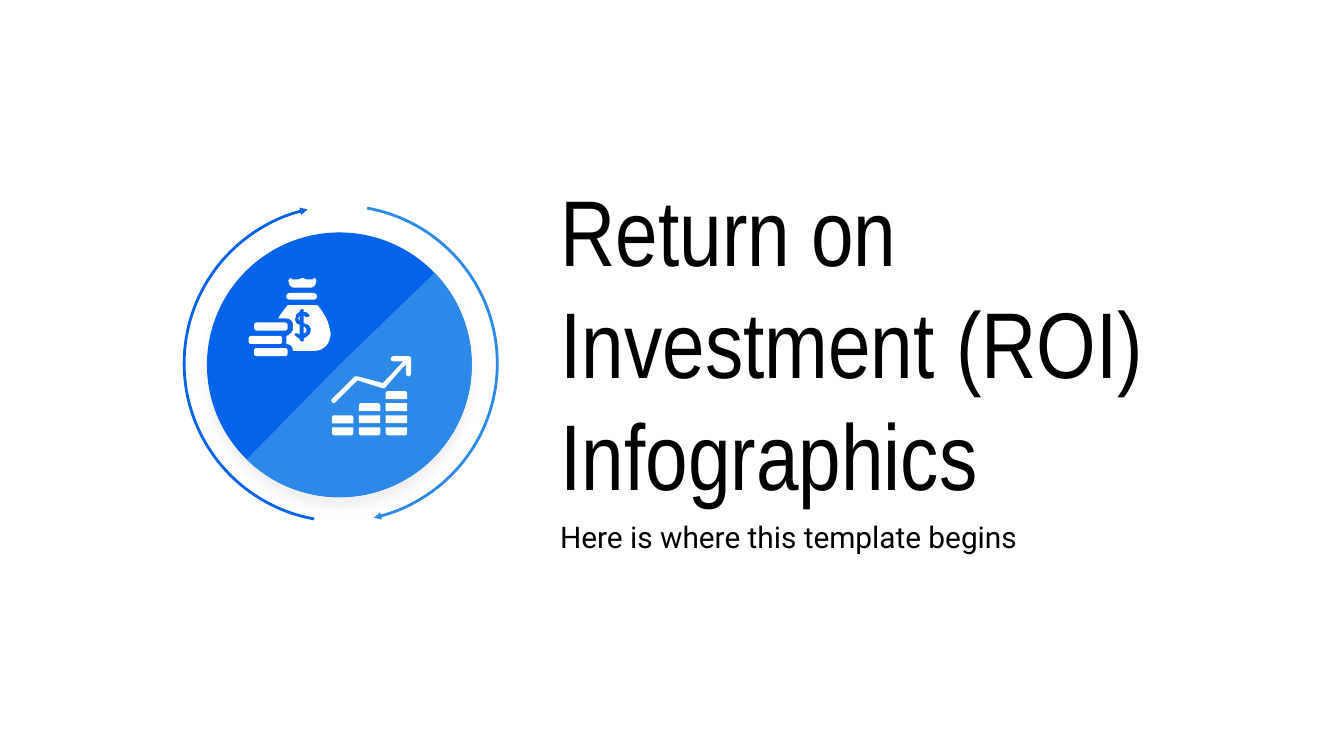
import pptx
import pptx.util
import lxml.etree
from dataclasses import dataclass
from pptx.dml.color import RGBColor
from pptx.enum.shapes import MSO_SHAPE
from pptx.enum.text import MSO_ANCHOR, MSO_AUTO_SIZE, PP_ALIGN
from pptx.oxml.ns import qn
from pptx.util import Inches


@dataclass(frozen=True)
class Theme:
    dark_blue: str = "0363EB"
    light_blue: str = "2C89E7"
    white: str = "FFFFFF"
    black: str = "000000"
    shadow: str = "666666"
    title_font: str = "Arial Narrow"
    body_font: str = "Roboto"
    title_size: int = 50
    subtitle_size: int = 16
    arc_width: float = 1.5


THEME = Theme()

# Icon outlines in hundredths of an inch: pairs are corners, sixes are Bezier curves
BAG = [(29, 20), (27, 23, 24, 26, 22, 30), (28, 30), (31, 30, 33, 32, 33, 35), (33, 37),
       (33, 40, 31, 42, 28, 43), (28, 49), (31, 49, 33, 51, 33, 54), (50, 54),
       (53, 54, 56, 52, 58, 50), (60, 47, 61, 44, 61, 41), (60, 36, 59, 31, 56, 27),
       (55, 25, 53, 22, 51, 20)]
DOLLAR = [(40, 23), (41, 23, 41, 23, 41, 24), (41, 25), (43, 25, 44, 26, 45, 27),
          (46, 28, 45, 29, 43, 29), (42, 29), (42, 28, 42, 28, 41, 28), (41, 33), (42, 34),
          (45, 34, 47, 37, 46, 40), (46, 41, 45, 42, 44, 43), (43, 44, 42, 44, 41, 45),
          (41, 46), (42, 47, 41, 47, 40, 47), (39, 47, 38, 47, 38, 46), (38, 45),
          (37, 45, 36, 44, 35, 43), (33, 42, 34, 41, 36, 41), (37, 41, 38, 42, 38, 42),
          (38, 35), (38, 35, 37, 34, 36, 34), (35, 33, 34, 31, 35, 29),
          (35, 27, 36, 26, 38, 25), (38, 24), (39, 23, 39, 23, 40, 23)]
DOLLAR_UPPER = [(38, 28), (38, 29, 37, 29, 37, 30), (37, 30, 37, 31, 38, 31), (38, 32)]
DOLLAR_LOWER = [(41, 36), (41, 41), (42, 41, 43, 40, 43, 39), (43, 38, 43, 37, 41, 36)]
RUFFLE = [(40, 0), (39, 0), (38, 1, 36, 1, 35, 1), (32, 1), (32, 1, 32, 0, 32, 0),
          (30, 0, 29, 2, 30, 3), (30, 5, 31, 6, 33, 7), (47, 7), (49, 6, 50, 5, 50, 3),
          (51, 2, 50, 0, 49, 0), (48, 0, 48, 1, 48, 1), (45, 1), (44, 1, 42, 1, 41, 0)]
TREND = [(58, 0), (47, 0), (44, 0, 44, 4, 47, 4), (54, 4), (39, 20), (20, 15),
         (19, 15, 18, 15, 18, 15), (1, 32), (0, 33, 1, 35, 3, 35), (3, 35, 3, 35, 4, 34),
         (20, 18), (39, 24), (40, 24, 40, 24, 41, 23), (56, 6), (56, 13),
         (56, 14, 57, 15, 58, 15), (59, 15, 60, 14, 60, 13), (60, 2), (60, 1, 59, 0, 58, 0)]


def write_text(shape, text, *, font, size, color):
    frame = shape.text_frame
    frame.word_wrap = True
    frame.auto_size = MSO_AUTO_SIZE.NONE
    frame.vertical_anchor = MSO_ANCHOR.TOP
    frame.margin_left = frame.margin_right = Inches(0.1)
    frame.margin_top = frame.margin_bottom = Inches(0.1)
    paragraph = frame.paragraphs[0]
    paragraph.alignment = PP_ALIGN.LEFT
    run = paragraph.add_run()
    run.text = text
    run.font.name = font
    run.font.size = pptx.util.Pt(size)
    run.font.color.rgb = RGBColor.from_string(color)


def paint(shape, fill):
    shape.shadow.inherit = False
    shape.fill.solid()
    shape.fill.fore_color.rgb = RGBColor.from_string(fill)
    shape.line.fill.background()


def add_preset(shapes, kind, box, fill, adjustments=(), rotation=0):
    shape = shapes.add_shape(kind, *(Inches(length) for length in box))
    for index, value in enumerate(adjustments):
        shape.adjustments[index] = value
    shape.rotation = rotation
    paint(shape, fill)
    return shape


def flatten(outline, steps=6):
    """Turn corners and Bezier curves into points in EMU."""
    points = []
    for part in outline:
        if len(part) == 2:
            points.append(part)
            continue
        x0, y0 = points[-1]
        x1, y1, x2, y2, x3, y3 = part
        for step in range(1, steps + 1):
            t = step / steps
            a, b, c, d = (1 - t) ** 3, 3 * t * (1 - t) ** 2, 3 * t * t * (1 - t), t ** 3
            points.append((a * x0 + b * x1 + c * x2 + d * x3,
                           a * y0 + b * y1 + c * y2 + d * y3))
    return [(Inches(x / 100), Inches(y / 100)) for x, y in points]


def add_outline(shapes, left, top, fill, *outlines):
    first, *others = [flatten(outline) for outline in outlines]
    builder = shapes.build_freeform(*first[0])
    builder.add_line_segments(first[1:])
    for points in others:
        builder.move_to(*points[0])
        builder.add_line_segments(points[1:])
    paint(builder.convert_to_shape(Inches(left), Inches(top)), fill)


def add_arc_arrow(shapes, box, color, rotation=0):
    arc = add_preset(shapes, MSO_SHAPE.ARC, box, color, (60.08, 154.43), rotation)
    arc.fill.background()
    arc.line.fill.solid()
    arc.line.fill.fore_color.rgb = RGBColor.from_string(color)
    arc.line.width = pptx.util.Pt(THEME.arc_width)
    outline = arc._element.spPr.find(qn("a:ln"))
    lxml.etree.SubElement(outline, qn("a:tailEnd"), type="triangle", w="sm", len="sm")


def add_soft_shadow(shape):
    effects = shape._element.spPr.find(qn("a:effectLst"))
    shadow = lxml.etree.SubElement(
        effects, qn("a:outerShdw"), blurRad=str(pptx.util.Pt(5.6)),
        dist=str(pptx.util.Pt(4.5)), dir="5400000", algn="bl", rotWithShape="0")
    color = lxml.etree.SubElement(shadow, qn("a:srgbClr"), val=THEME.shadow)
    lxml.etree.SubElement(color, qn("a:alpha"), val="10000")


def add_money_icon(shapes, left, top):
    # Tie of the bag, then the three coins
    bars = [(0.28, 0.11, 0.23, 0.05, 0.5)]
    bars += [(x, y, 0.25, 0.06, 0.3) for x, y in ((0.04, 0.52), (0, 0.43), (0.04, 0.33))]
    for x, y, width, height, radius in bars:
        add_preset(shapes, MSO_SHAPE.ROUNDED_RECTANGLE,
                   (left + x, top + y, width, height), THEME.white, (radius,))
    # Bag with the dollar sign cut out
    for outlines in ((BAG, DOLLAR), (DOLLAR_UPPER,), (DOLLAR_LOWER,), (RUFFLE,)):
        add_outline(shapes, left, top, THEME.white, *outlines)


def add_growth_icon(shapes, left, top):
    # Stacks of two, three and four blocks, rounded at both ends
    for column, count in enumerate((2, 3, 4)):
        for row in range(count):
            is_end = row in (0, count - 1)
            kind = MSO_SHAPE.ROUND_2_SAME_RECTANGLE if is_end else MSO_SHAPE.RECTANGLE
            box = (left + 0.01 + 0.2 * column, top + 0.53 - 0.09 * row, 0.16, 0.06)
            add_preset(shapes, kind, box, THEME.white, (0.3,) if is_end else (),
                       rotation=180 if row == 0 else 0)
    add_outline(shapes, left, top, THEME.white, TREND)


def add_emblem(slide, left, top):
    shapes = slide.shapes.add_group_shape().shapes
    # Circling arrows
    add_arc_arrow(shapes, (left + 0.02, top, 2.35, 2.35), THEME.dark_blue)
    add_arc_arrow(shapes, (left, top, 2.35, 2.35), THEME.light_blue, rotation=180)
    # Two-tone disc
    disc = (left + 0.19, top + 0.2, 1.97, 1.97)
    add_soft_shadow(add_preset(shapes, MSO_SHAPE.OVAL, disc, THEME.dark_blue))
    add_preset(shapes, MSO_SHAPE.PIE, disc, THEME.light_blue, (162.61, 53.65), rotation=45)
    # Icons
    add_money_icon(shapes, left + 0.5, top + 0.54)
    add_growth_icon(shapes, left + 1.11, top + 1.12)


def add_heading(slide, left, top):
    title = slide.shapes.title
    title.left, title.top = Inches(left), Inches(top)
    title.width, title.height = Inches(4.79), Inches(2.65)
    write_text(title, "Return on Investment (ROI) Infographics", font=THEME.title_font,
               size=THEME.title_size, color=THEME.black)
    subtitle = slide.shapes.add_textbox(Inches(left), Inches(top + 2.57),
                                        Inches(3.83), Inches(0.47))
    write_text(subtitle, "Here is where this template begins", font=THEME.body_font,
               size=THEME.subtitle_size, color=THEME.black)


def main():
    deck = pptx.Presentation()
    # Widescreen, 16 to 9
    deck.slide_width = Inches(10)
    deck.slide_height = deck.slide_width * 9 // 16
    slide = deck.slides.add_slide(deck.slide_layouts[5])
    add_heading(slide, 4.07, 1.19)
    add_emblem(slide, 1.35, 1.53)
    deck.save("out.pptx")


if __name__ == "__main__":
    main()
